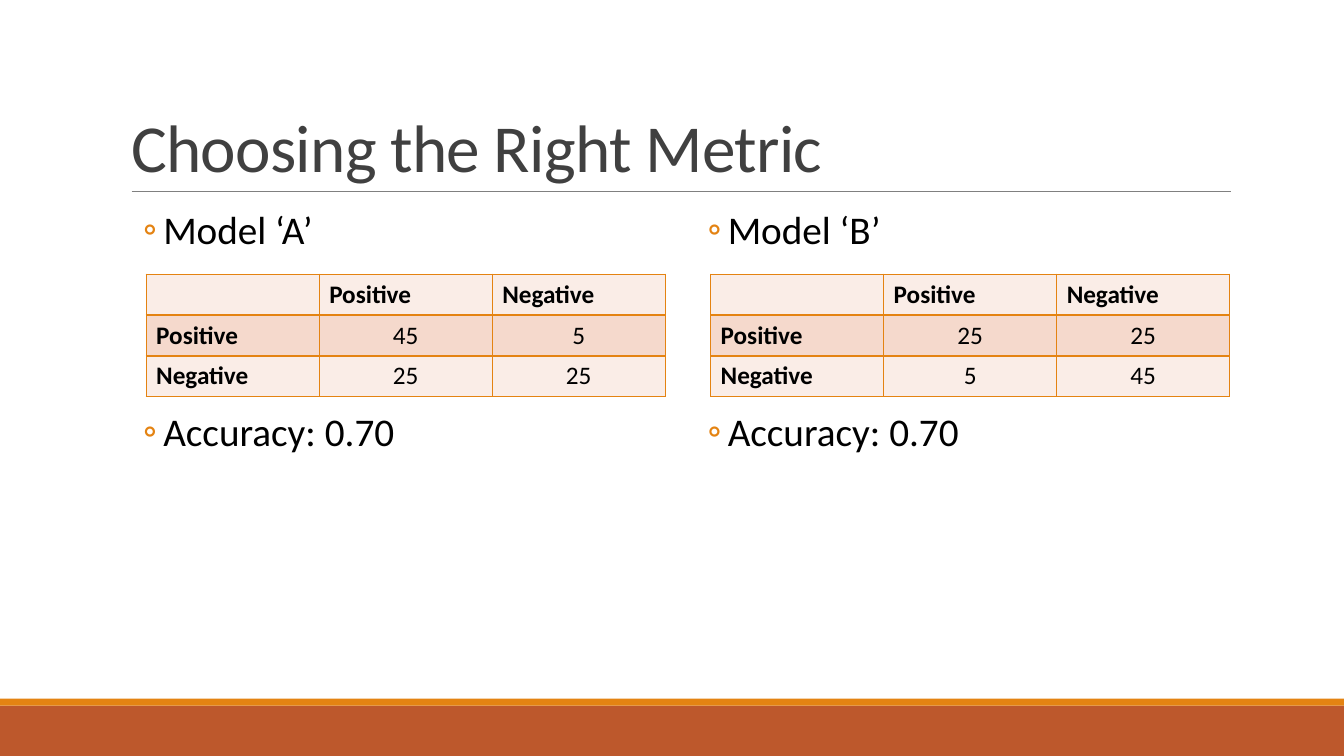
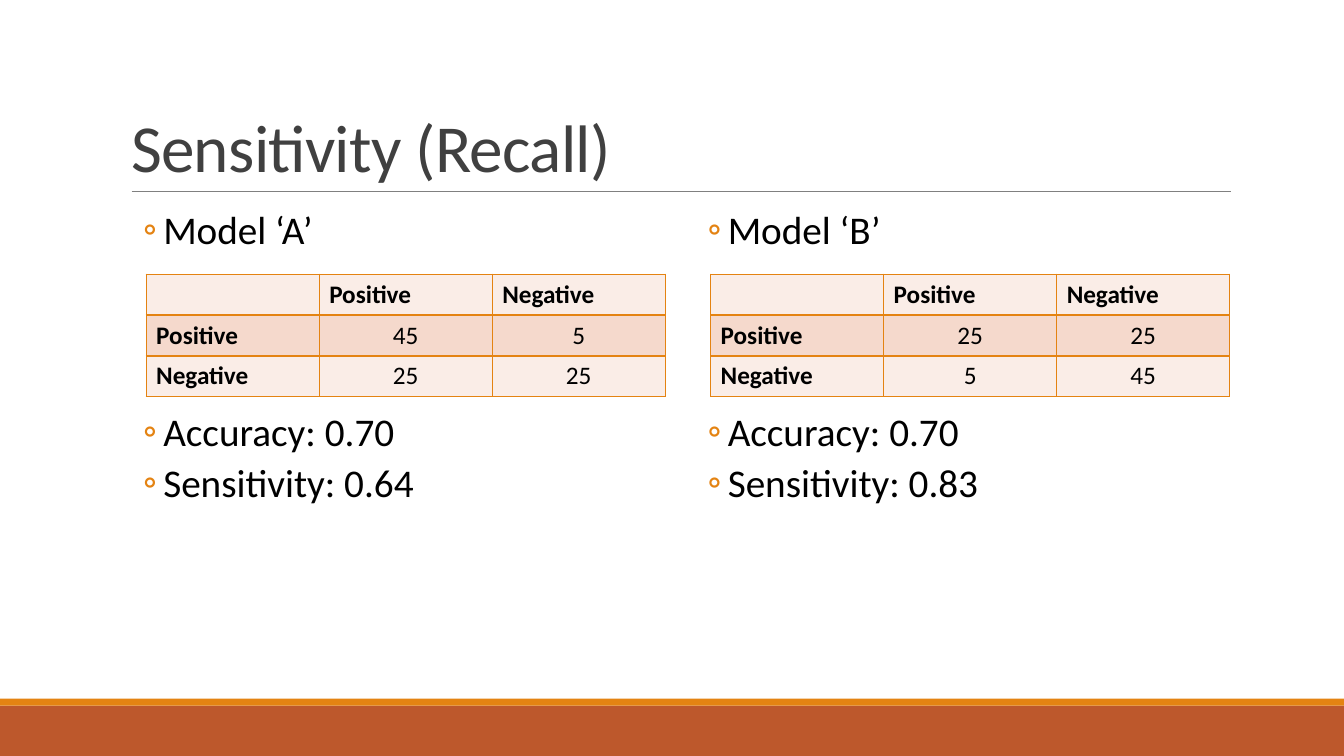
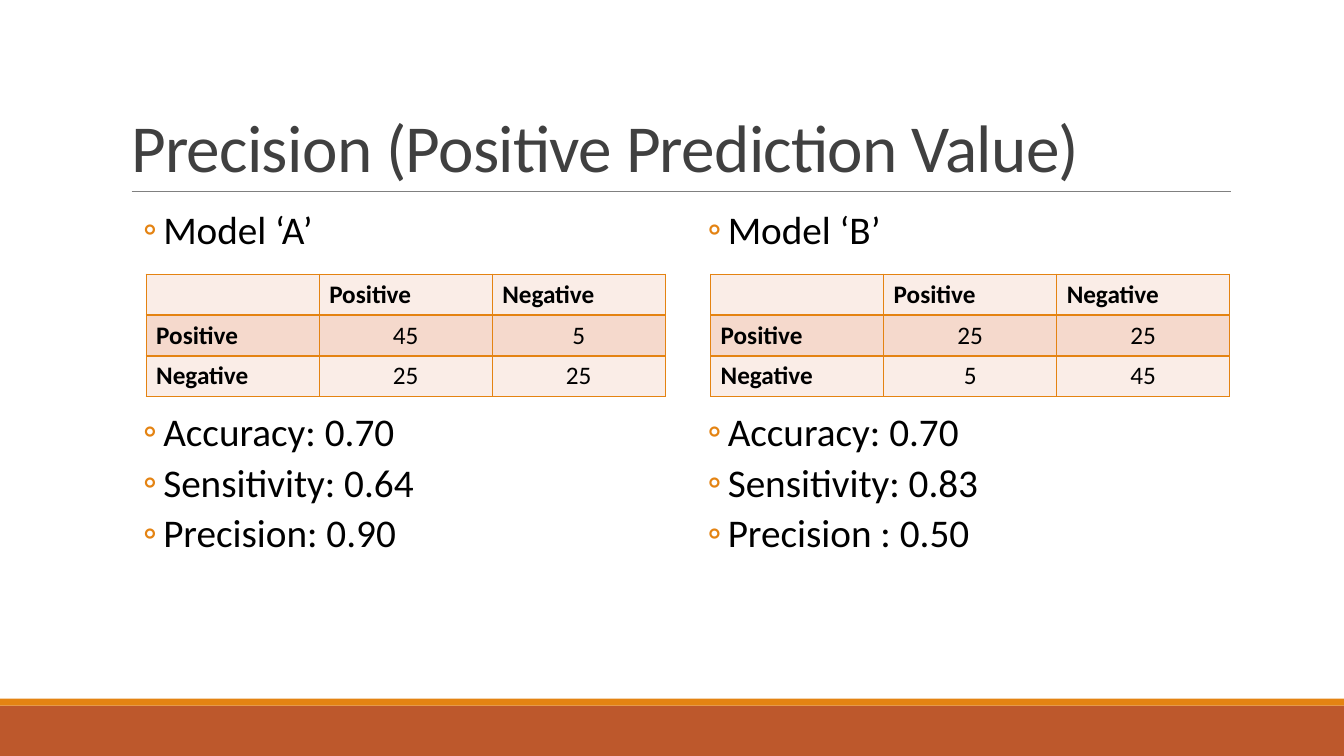
from lxml.etree import SubElement
from pptx import Presentation
from pptx.dml.color import RGBColor
from pptx.enum.shapes import MSO_CONNECTOR, MSO_SHAPE
from pptx.enum.text import MSO_ANCHOR, MSO_AUTO_SIZE, PP_ALIGN
from pptx.oxml.ns import qn
from pptx.util import Pt

FONT = "Calibri"
ORANGE, RUST, GREY = "E48312", "BD582C", "808080"
TITLE_COLOUR, TEXT_COLOUR = "404040", "000000"
ROW_FILLS = ["FAEDE7", "F5D9CC"]

SLIDE_WIDTH, SLIDE_HEIGHT = 960, 540
MARGIN, CONTENT_WIDTH = 86.4, 792
COLUMN_WIDTH = 388.8
TABLE_INDENT, TABLE_TOP, ROW_HEIGHT = 18, 195.84, 29.2
SPACE_BELOW_MODEL = 110

CLASSES = ["Positive", "Negative"]
MODELS = [
    ("Model ‘A’", [[45, 5], [25, 25]],
     ["Accuracy: 0.70", "Sensitivity: 0.64", "Precision: 0.90"]),
    ("Model ‘B’", [[25, 25], [5, 45]],
     ["Accuracy: 0.70", "Sensitivity: 0.83", "Precision : 0.50"]),
]
TITLES = [
    "Choosing the Right Metric",
    "Sensitivity (Recall)",
    "Precision (Positive Prediction Value)",
]


def colour(value):
    return RGBColor.from_string(value)


def place(shape, left, top, width, height):
    shape.left, shape.top = Pt(left), Pt(top)
    shape.width, shape.height = Pt(width), Pt(height)


def format_runs(paragraph, size, text_colour, bold=False):
    for run in paragraph.runs:
        run.font.name = FONT
        run.font.size = Pt(size)
        run.font.bold = bold
        run.font.color.rgb = colour(text_colour)


def add_band(slide, top, height, fill):
    band = slide.shapes.add_shape(
        MSO_SHAPE.RECTANGLE, 0, Pt(top), Pt(SLIDE_WIDTH), Pt(height))
    band.shadow.inherit = False
    band.fill.solid()
    band.fill.fore_color.rgb = colour(fill)
    band.line.fill.background()


def add_title_rule(slide):
    rule = slide.shapes.add_connector(
        MSO_CONNECTOR.STRAIGHT, Pt(94), Pt(136.8), Pt(879), Pt(136.8))
    rule.line.color.rgb = colour(GREY)
    rule.line.width = Pt(0.5)
    SubElement(rule.element.spPr, qn("a:effectLst"))


def add_frame(slide):
    add_band(slide, 504, 36, RUST)
    add_band(slide, 499, 5, ORANGE)
    add_title_rule(slide)


def set_title(slide, text):
    title = slide.shapes.title
    place(title, MARGIN, 22.5, CONTENT_WIDTH, 114.3)
    frame = title.text_frame
    frame.text = text
    frame.auto_size = MSO_AUTO_SIZE.NONE
    frame.vertical_anchor = MSO_ANCHOR.BOTTOM
    paragraph = frame.paragraphs[0]
    paragraph.alignment = PP_ALIGN.LEFT
    paragraph.line_spacing = 0.85
    format_runs(paragraph, 48, TITLE_COLOUR)
    for run in paragraph.runs:
        run.font._element.set("spc", "-50")


def add_bullet(paragraph):
    properties = paragraph._p.get_or_add_pPr()
    properties.set("marL", str(Pt(30.24)))
    properties.set("indent", str(Pt(-14.4)))
    bullet_colour = SubElement(properties, qn("a:buClr"))
    SubElement(bullet_colour, qn("a:srgbClr"), val=ORANGE)
    SubElement(properties, qn("a:buFont"), typeface=FONT)
    SubElement(properties, qn("a:buChar"), char="◦")


def fill_list(body, left, model, metrics):
    place(body, left, 145.44, COLUMN_WIDTH, 349.2)
    frame = body.text_frame
    frame.text = "\n".join([model, *metrics])
    frame.auto_size = MSO_AUTO_SIZE.NONE
    frame.margin_left = frame.margin_right = 0
    frame.margin_top = Pt(5)
    for index, paragraph in enumerate(frame.paragraphs):
        paragraph.level = 1
        add_bullet(paragraph)
        paragraph.line_spacing = 0.9
        paragraph.space_before = Pt([0, SPACE_BELOW_MODEL, 2, 2][index])
        paragraph.space_after = Pt(4)
        format_runs(paragraph, 28, TEXT_COLOUR)


def add_borders(cell):
    properties = cell._tc.get_or_add_tcPr()
    for side in ("lnL", "lnR", "lnT", "lnB"):
        border = SubElement(properties, qn(f"a:{side}"), w=str(Pt(1)))
        fill = SubElement(border, qn("a:solidFill"))
        SubElement(fill, qn("a:srgbClr"), val=ORANGE)


def add_confusion_matrix(slide, left, counts):
    rows = [["", *CLASSES]]
    rows += [[name, *values] for name, values in zip(CLASSES, counts)]
    table = slide.shapes.add_table(
        len(rows), len(rows[0]), Pt(left), Pt(TABLE_TOP),
        Pt(COLUMN_WIDTH - TABLE_INDENT), Pt(ROW_HEIGHT * len(rows))).table
    table.first_col = True
    for row_index, row in enumerate(rows):
        for column_index, value in enumerate(row):
            cell = table.cell(row_index, column_index)
            add_borders(cell)
            cell.fill.solid()
            cell.fill.fore_color.rgb = colour(ROW_FILLS[row_index % 2])
            is_header = row_index == 0 or column_index == 0
            cell.text_frame.text = str(value)
            paragraph = cell.text_frame.paragraphs[0]
            paragraph.alignment = PP_ALIGN.LEFT if is_header else PP_ALIGN.CENTER
            format_runs(paragraph, 18, TEXT_COLOUR, bold=is_header)


def add_comparison_slide(presentation, title, metric_count):
    slide = presentation.slides.add_slide(presentation.slide_layouts[3])
    add_frame(slide)
    set_title(slide, title)
    for index, (model, counts, metrics) in enumerate(MODELS):
        left = MARGIN + index * (CONTENT_WIDTH - COLUMN_WIDTH)
        fill_list(slide.placeholders[index + 1], left, model, metrics[:metric_count])
        add_confusion_matrix(slide, left + TABLE_INDENT, counts)


def main():
    presentation = Presentation()
    presentation.slide_width = Pt(SLIDE_WIDTH)
    presentation.slide_height = Pt(SLIDE_HEIGHT)
    for metric_count, title in enumerate(TITLES, start=1):
        add_comparison_slide(presentation, title, metric_count)
    presentation.save("out.pptx")


if __name__ == "__main__":
    main()
